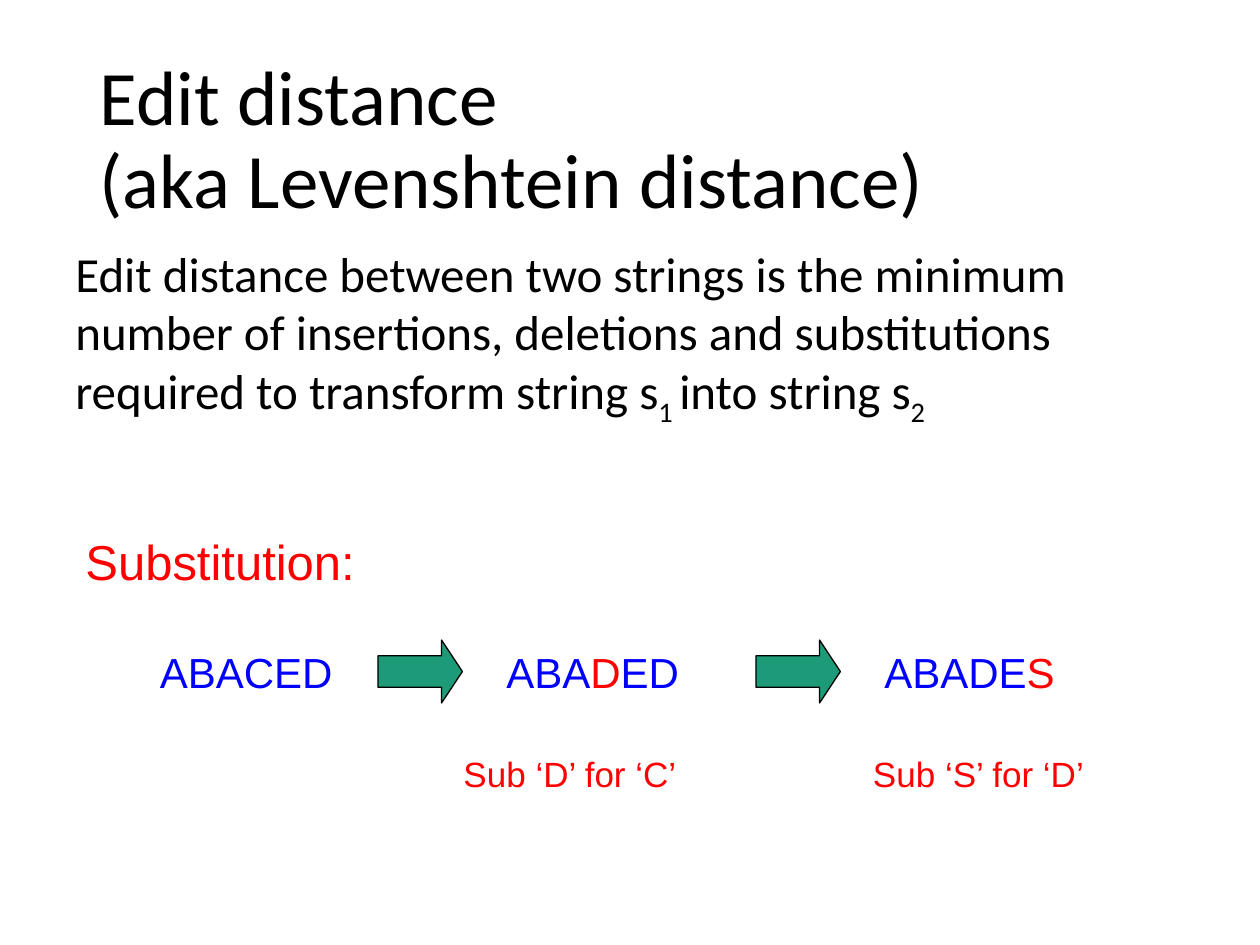
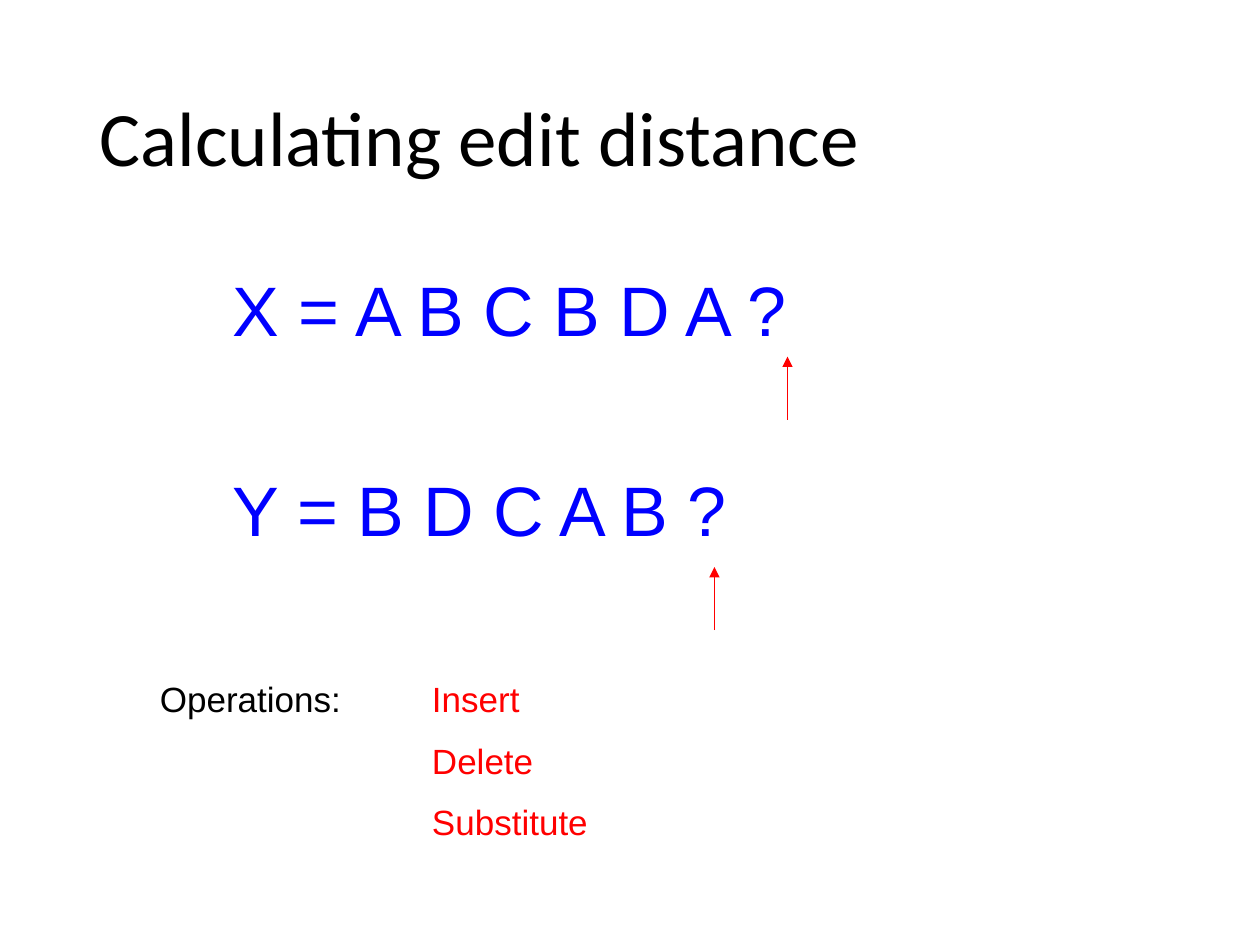
from lxml.etree import SubElement
from pptx import Presentation
from pptx.dml.color import RGBColor
from pptx.enum.shapes import MSO_CONNECTOR, MSO_SHAPE
from pptx.enum.text import MSO_ANCHOR, MSO_AUTO_SIZE, PP_ALIGN
from pptx.oxml.ns import qn
from pptx.util import Inches, Pt

# Shared style
BLACK, RED, BLUE, GREEN = "000000", "FF0000", "0000FF", "1D9A78"
HEAD, BODY = "Calibri", "Arial"


def color(code):
    return RGBColor.from_string(code)


def add_run(para, text, size, code, font=BODY, base=0):
    run = para.add_run()
    run.text = text
    run.font.size = Pt(size)
    run.font.name = font
    run.font.color.rgb = color(code)
    if base:
        run.font._element.set("baseline", str(base * 1000))


def add_slide(deck, *lines):
    """Title-only slide; each title line follows a line break."""
    slide = deck.slides.add_slide(deck.slide_layouts[5])
    title = slide.shapes.title
    title.left, title.top = Inches(0.69), Inches(0.4)
    title.width, title.height = Inches(8.62), Inches(1.45)
    frame = title.text_frame
    frame.word_wrap = True
    frame.auto_size = MSO_AUTO_SIZE.NONE
    frame.vertical_anchor = MSO_ANCHOR.MIDDLE
    para = frame.paragraphs[0]
    para.alignment = PP_ALIGN.LEFT
    para.line_spacing = 0.9
    for i, line in enumerate(lines):
        if i:
            para.add_line_break()
        add_run(para, line, 44, BLACK, HEAD)
    return slide


def add_frame(slide, left, top, width, height):
    box = slide.shapes.add_textbox(
        Inches(left), Inches(top), Inches(width), Inches(height))
    box.text_frame.word_wrap = True
    return box.text_frame


def add_text(slide, left, top, width, height, size, *paras):
    """Text box; each paragraph is a list of (text, colour) runs."""
    frame = add_frame(slide, left, top, width, height)
    frame.auto_size = MSO_AUTO_SIZE.SHAPE_TO_FIT_TEXT
    for i, runs in enumerate(paras):
        para = frame.add_paragraph() if i else frame.paragraphs[0]
        if i:
            para.space_before = Pt(size * 0.55)
        for text, code in runs:
            add_run(para, text, size, code)


def add_block(slide, left, top):
    """Green block arrow between two words."""
    block = slide.shapes.add_shape(
        MSO_SHAPE.RIGHT_ARROW, Inches(left), Inches(top),
        Inches(0.67), Inches(0.5))
    block.adjustments[0], block.adjustments[1] = 0.5, 0.33
    block.shadow.inherit = False
    block.fill.solid()
    block.fill.fore_color.rgb = color(GREEN)
    block.line.color.rgb = color(BLACK)
    block.line.width = Pt(0.75)


def add_pointer(slide, x, top):
    """Thin red arrow that points up at a letter."""
    line = slide.shapes.add_connector(
        MSO_CONNECTOR.STRAIGHT, Inches(x), Inches(top + 0.5),
        Inches(x), Inches(top))
    line.line.color.rgb = color(RED)
    line.line.width = Pt(0.75)
    SubElement(line.line._get_or_add_ln(), qn("a:tailEnd"), type="triangle")
    SubElement(line._element.spPr, qn("a:effectLst"))


def draw_intro(deck):
    slide = add_slide(deck, "Edit distance ", "(aka Levenshtein distance)")

    # Definition with subscripts
    para = add_frame(slide, 0.5, 1.88, 9, 2.29).paragraphs[0]
    for text, base in (
            ("Edit distance between two strings is the minimum number of "
             "insertions, deletions and substitutions required to "
             "transform string s", 0),
            ("1 ", -25), ("into string s", 0), ("2", -25)):
        add_run(para, text, 28, BLACK, HEAD, base)

    # Substitution steps
    add_text(slide, 0.58, 4.17, 2.5, 0.57, 28, [("Substitution:", RED)])
    row = 5.08
    for left, width, runs in (
            (1.17, 1.58, [("ABACED", BLUE)]),
            (3.92, 1.92, [("ABA", BLUE), ("D", RED), ("ED", BLUE)]),
            (6.92, 2.25, [("ABADE", BLUE), ("S", RED)])):
        add_text(slide, left, row, width, 0.5, 24, runs)
    for left in (3, 6):
        add_block(slide, left, row)
    for left, width, text in ((3.58, 2.25, "Sub ‘D’ for ‘C’"),
                              (6.83, 2.75, "Sub ‘S’ for ‘D’")):
        add_text(slide, left, 5.92, width, 0.43, 20, [(text, RED)])


def draw_strings(deck):
    slide = add_slide(deck, "Calculating edit distance")

    # Two strings, each with a pointer at its last letter
    for top, width, text, x, tip in (
            (2.07, 4.83, "X = A B C B D A ?", 6.25, 2.83),
            (3.65, 5.17, "Y = B D C A B ?", 5.67, 4.5)):
        add_text(slide, 1.75, top, width, 0.77, 40, [(text, BLUE)])
        add_pointer(slide, x, tip)

    # Operations
    add_text(slide, 1.17, 5.33, 3.58, 0.43, 20, [("Operations:", BLACK)])
    names = ("Insert", "Delete", "Substitute")
    add_text(slide, 3.33, 5.33, 1.58, 1.43, 20,
             *[[(name, RED)] for name in names])


def main():
    deck = Presentation()
    deck.slide_width, deck.slide_height = Inches(10), Inches(7.5)
    draw_intro(deck)
    draw_strings(deck)
    deck.save("out.pptx")


main()
